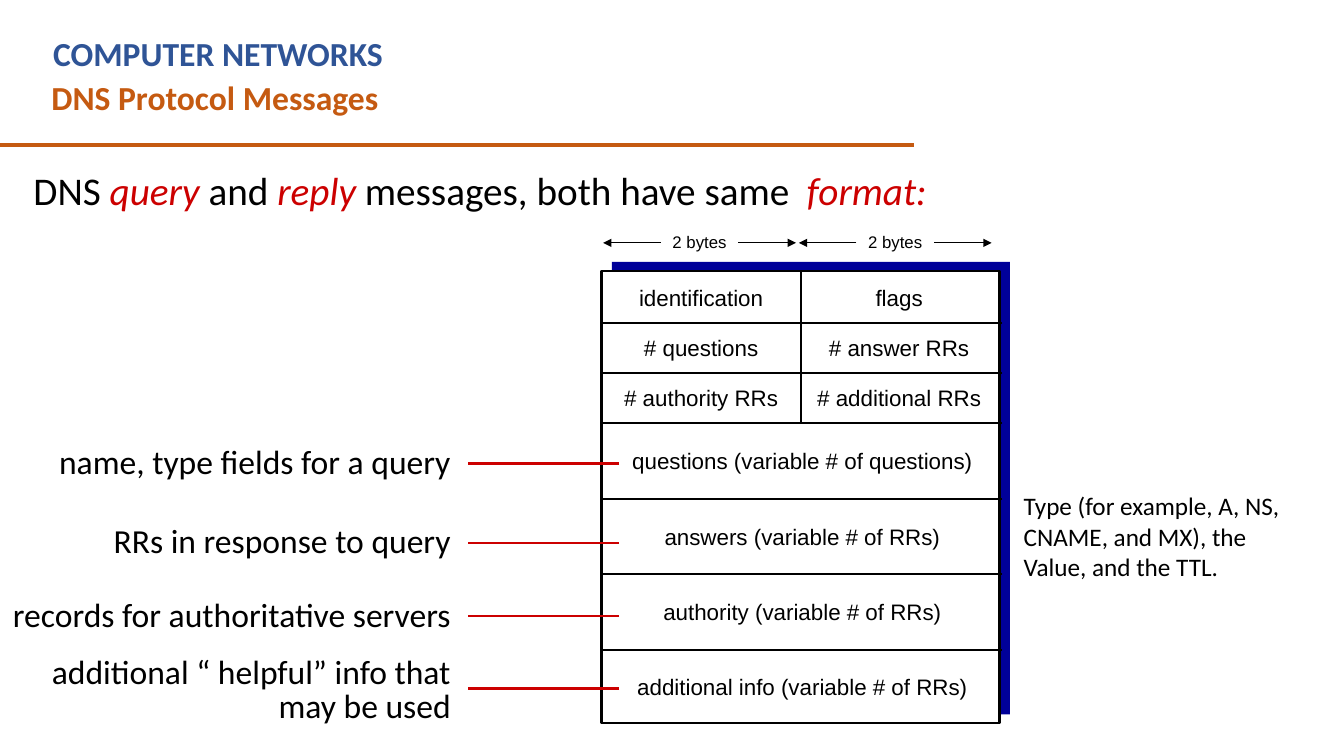
from pptx import Presentation
from pptx.dml.color import RGBColor
from pptx.enum.shapes import MSO_CONNECTOR, MSO_SHAPE
from pptx.enum.text import MSO_ANCHOR as ANCHOR, MSO_AUTO_SIZE as AUTO, PP_ALIGN as ALIGN
from pptx.oxml.ns import qn
from pptx.util import Cm, Pt
from lxml import etree

BLACK = RGBColor(0x00, 0x00, 0x00)
WHITE = RGBColor(0xFF, 0xFF, 0xFF)
BLUE = RGBColor(0x2F, 0x54, 0x96)
ORANGE = RGBColor(0xC5, 0x5A, 0x11)
RED = RGBColor(0xCC, 0x00, 0x00)
NAVY = RGBColor(0x00, 0x00, 0x99)

prs = Presentation()
prs.slide_width, prs.slide_height = Cm(33.87), Cm(19.05)
s = prs.slides.add_slide(prs.slide_layouts[1])


def add_text(text, left, top, width, height, sp=None, size=24, font="Calibri", color=BLACK,
             bold=False, align=ALIGN.LEFT, anchor=ANCHOR.TOP, spacing=1.0, wrap=True):
    """Fill sp, or a new text box; parts between asterisks are red and italic."""
    box = Cm(left), Cm(top), Cm(width), Cm(height)
    if sp is None:
        sp = s.shapes.add_textbox(*box)
    sp.left, sp.top, sp.width, sp.height = box
    tf = sp.text_frame
    tf.word_wrap, tf.auto_size, tf.vertical_anchor = wrap, AUTO.NONE, anchor
    p = tf.paragraphs[0]
    p.alignment, p.line_spacing, p.space_before = align, spacing, Pt(0)
    for i, part in enumerate(text.split("*")):
        accent = i % 2 == 1
        r = p.add_run()
        r.text = part
        r.font.name, r.font.size = font, Pt(size)
        r.font.bold, r.font.italic = bold, accent
        r.font.color.rgb = RED if accent else color
    return p


def add_line(x1, y1, x2, y2, color=BLACK, width=1.5, arrow=False):
    line = s.shapes.add_connector(MSO_CONNECTOR.STRAIGHT, Cm(x1), Cm(y1), Cm(x2), Cm(y2))
    line.line.color.rgb, line.line.width = color, Pt(width)
    if arrow:
        etree.SubElement(line.line._get_or_add_ln(), qn("a:tailEnd"), type="triangle")
    etree.SubElement(line._element.spPr, qn("a:effectLst"))


# Headings
add_line(-0.02, 3.66, 23.04, 3.66, color=ORANGE, width=3)
add_text("COMPUTER NETWORKS", 1.09, 0.71, 20.83, 1.27, color=BLUE, bold=True)
add_text("DNS Protocol Messages", 1.04, 1.8, 22.23, 1.27, sp=s.shapes.title,
         color=ORANGE, bold=True)
p = add_text("DNS *query *and *reply* messages, both have same  *format:*", 0.23, 4.19, 25.07, 1.42,
             sp=s.placeholders[1], size=28, spacing=0.9)
pPr = p._p.get_or_add_pPr()
pPr.set("marL", str(Cm(0.36)))
pPr.set("indent", "0")
etree.SubElement(pPr, qn("a:buNone"))

# Message frame
for left, top, fill in [(15.42, 6.6, NAVY), (15.16, 6.83, WHITE)]:
    sp = s.shapes.add_shape(MSO_SHAPE.RECTANGLE, Cm(left), Cm(top), Cm(10.03), Cm(11.4))
    sp.shadow.inherit = False
    sp.fill.solid()
    sp.fill.fore_color.rgb = fill
    if fill == NAVY:
        sp.line.fill.background()
    else:
        sp.line.color.rgb, sp.line.width = BLACK, Pt(1.5)

# Header and section fields: (text, width) for each cell of a row
ROWS = [
    [("identification", 3.63), ("flags", 1.7)],
    [("# questions", 3.4), ("# answer RRs", 4.06)],
    [("# authority RRs", 4.39), ("# additional RRs", 4.65)],
    [("questions (variable # of questions)", 9.12)],
    [("answers (variable # of RRs)", 7.47)],
    [("authority (variable # of RRs)", 7.54)],
    [("additional info (variable # of RRs)", 8.84)],
]
HEADER_HEIGHT, SECTION_HEIGHT, LABEL_HEIGHT = 1.27, 1.9, 0.94
row_top = 6.86
for n, row in enumerate(ROWS):
    if n:
        add_line(15.14, row_top, 25.25, row_top)
    height = HEADER_HEIGHT if len(row) == 2 else SECTION_HEIGHT
    centers = (17.67, 22.66) if len(row) == 2 else (20.22,)
    for (label, width), center in zip(row, centers):
        add_text(label, center - width / 2, row_top + (height - LABEL_HEIGHT) / 2, width,
                 LABEL_HEIGHT, size=16, font="Arial", align=ALIGN.CENTER, wrap=False)
    row_top += height
add_line(20.19, 6.86, 20.19, 10.64)

# Column widths
for center in (17.63, 22.56):
    add_text("2 bytes", center - 0.94, 5.72, 1.88, 0.76, size=12, font="Arial",
             align=ALIGN.CENTER, wrap=False)
    for side in (-1, 1):
        add_line(center + side * 0.98, 6.12, center + side * 2.43, 6.12, width=0.75, arrow=True)

# Callouts: text, top, width, height, line position
CALLOUTS = [
    ("name, type fields for a query", 11.13, 11.02, 1.14, 11.68),
    ("RRs in response to query", 13.13, 11.13, 1.14, 13.69),
    ("records for authoritative servers", 14.99, 13.34, 1.14, 15.52),
    ("additional “ helpful” info that may be used", 16.41, 11.07, 2.01, 17.35),
]
for text, top, width, height, line_y in CALLOUTS:
    add_text(text, 11.61 - width, top, width, height, align=ALIGN.RIGHT,
             anchor=ANCHOR.MIDDLE, spacing=0.85)
    add_line(15.6, line_y, 11.79, line_y, color=RED)

add_text("Type (for example, A, NS, CNAME, and MX), the Value, and the TTL.",
         25.55, 12.24, 7.04, 2.57, size=18)

prs.save("out.pptx")
